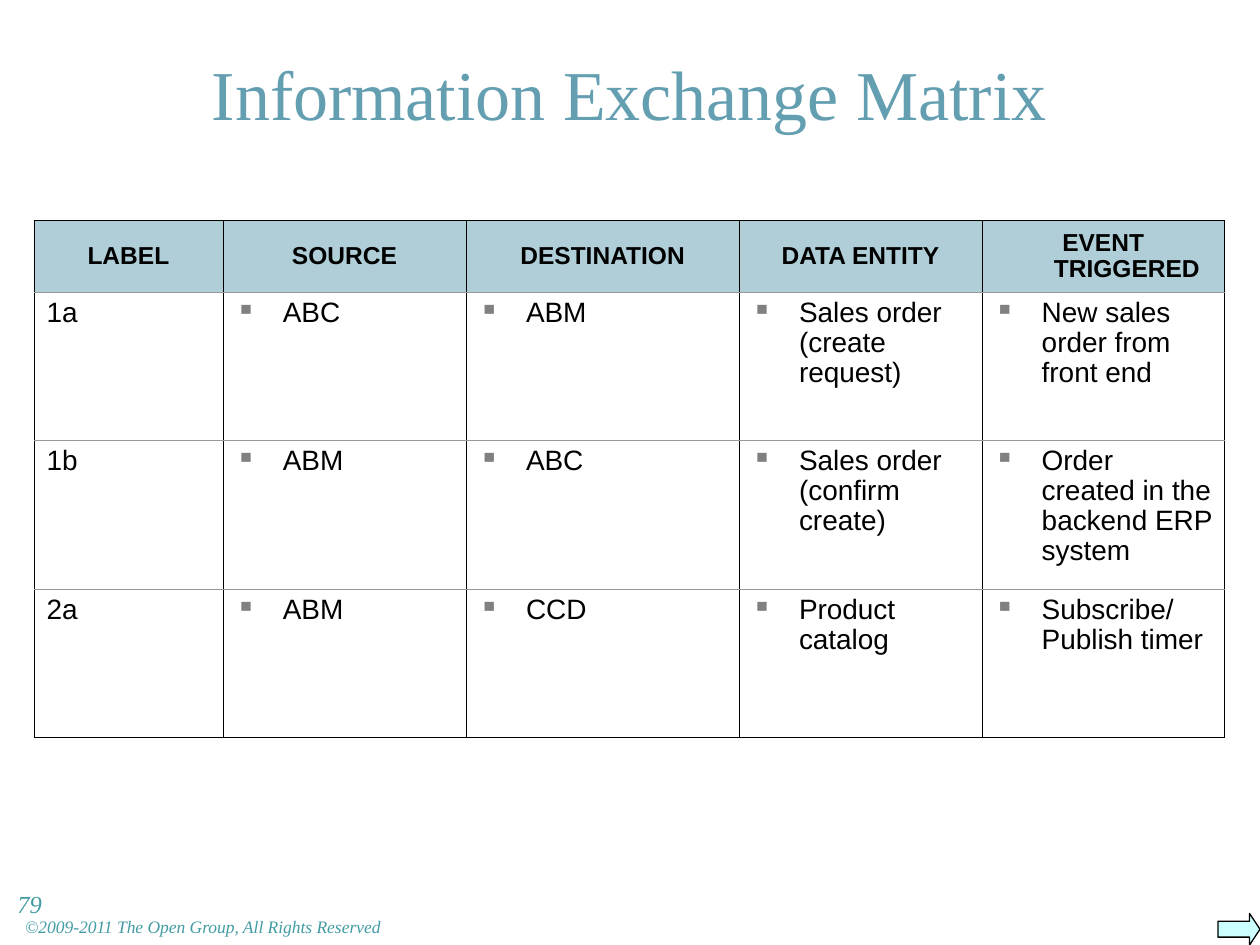
from dataclasses import dataclass
from typing import NamedTuple

from lxml.etree import SubElement as Sub
from pptx import Presentation
from pptx.dml.color import RGBColor as Rgb
from pptx.enum.shapes import MSO_SHAPE as Shape
from pptx.enum.text import MSO_ANCHOR as Anchor, PP_ALIGN as Align
from pptx.oxml.ns import qn
from pptx.util import Pt


@dataclass(frozen=True)
class Theme:
    serif: str = "Times New Roman"
    sans: str = "Arial"
    teal: str = "639EB1"
    note: str = "439CA3"
    black: str = "000000"
    grey: str = "999999"
    mark: str = "808080"
    aqua: str = "CCFFFF"
    big: float = 40
    body: float = 16
    head: float = 14
    small: float = 10
    rule: float = 0.45
    hang: float = 27
    lead: float = 0.96


class Box(NamedTuple):
    left: float
    top: float
    width: float
    height: float

    def pts(self) -> list:
        return [Pt(side) for side in self]


class Note(NamedTuple):
    text: str
    box: Box
    size: float
    inset: float


THEME = Theme()
TITLE = Box(19.4, -0.7, 680.4, 106.6)
GRID = Box(19.4, 126, 680.4, 295.4)
COLS = [108, 139, 156, 138.7, 138.7]
ROWS = [41, 84.8, 84.8, 84.8]
ARROW = Box(696, 522, 24, 18)
HEADS = ["LABEL", "SOURCE", "DESTINATION", "DATA ENTITY", "EVENT TRIGGERED"]
FLOWS = [
    ["1a", "ABC", "ABM", "Sales order (create request)",
     "New sales order from front end"],
    ["1b", "ABM", "ABC", "Sales order (confirm create)",
     "Order created in the backend ERP system"],
    ["2a", "ABM", "CCD", "Product catalog", "Subscribe/\nPublish timer"],
]
NOTES = [
    Note("©2009-2011 The Open Group, All Rights Reserved",
         Box(14.4, 519.8, 527, 17.3), THEME.small, 0),
    Note("79", Box(2.9, 504.7, 85, 37.4), THEME.head, 7.2),
]


def write(frame, text: str, *, size: float, face: str = THEME.sans,
          color: str = THEME.black, bold: bool = False, ital: bool = False,
          align=Align.LEFT, hang: float = 0, mark: bool = False,
          lead: float = 1) -> None:
    """Fill a text frame, one paragraph a line; a mark goes on the first."""
    for i, line in enumerate(text.split("\n")):
        para = frame.add_paragraph() if i else frame.paragraphs[0]
        para.alignment, para.line_spacing = align, lead
        if hang:
            props = para._p.get_or_add_pPr()
            props.set("marL", str(Pt(hang)))
            props.set("indent", str(0 if i else -Pt(hang)))
            if mark and not i:
                tint = Sub(props, qn("a:buClr"))
                Sub(tint, qn("a:srgbClr"), val=THEME.mark)
                Sub(props, qn("a:buChar"), char="▪")
            else:
                Sub(props, qn("a:buNone"))
        run = para.add_run()
        run.text = line
        font = run.font
        font.name, font.size = face, Pt(size)
        font.bold, font.italic = bold, ital
        font.color.rgb = Rgb.from_string(color)


def edge(cell, top: str, base: str) -> None:
    """Rule a cell: black sides, with given top and base colours."""
    props = cell._tc.get_or_add_tcPr()
    sides = {"L": THEME.black, "R": THEME.black, "T": top, "B": base}
    for side, color in sides.items():
        line = Sub(props, qn(f"a:ln{side}"), w=str(Pt(THEME.rule)))
        Sub(Sub(line, qn("a:solidFill")), qn("a:srgbClr"), val=color)


def shade(cell) -> None:
    """Give a cell the half-clear head colour."""
    cell.fill.solid()
    cell.fill.fore_color.rgb = Rgb.from_string(THEME.teal)
    tint = cell._tc.tcPr.find(qn("a:solidFill")).find(qn("a:srgbClr"))
    Sub(tint, qn("a:alpha"), val="50000")


def add_title(slide) -> None:
    title = slide.shapes.title
    title.left, title.top, title.width, title.height = TITLE.pts()
    title.text_frame.vertical_anchor = Anchor.MIDDLE
    write(title.text_frame, "Information Exchange Matrix", size=THEME.big,
          face=THEME.serif, color=THEME.teal, align=Align.CENTER)


def add_grid(slide) -> None:
    data = [HEADS, *FLOWS]
    table = slide.shapes.add_table(len(ROWS), len(COLS), *GRID.pts()).table
    table.first_row = table.horz_banding = False
    for col, width in zip(table.columns, COLS):
        col.width = Pt(width)
    for r, (row, high) in enumerate(zip(table.rows, ROWS)):
        row.height = Pt(high)
        for c, (cell, text) in enumerate(zip(row.cells, data[r])):
            edge(cell, THEME.grey if r else THEME.black,
                 THEME.grey if r < len(FLOWS) else THEME.black)
            if r:
                cell.fill.background()
                write(cell.text_frame, text, size=THEME.body,
                      hang=THEME.hang, mark=c > 0, lead=THEME.lead)
            else:
                shade(cell)
                cell.vertical_anchor = Anchor.MIDDLE
                write(cell.text_frame, text, size=THEME.head, bold=True,
                      align=Align.CENTER, hang=THEME.hang, lead=THEME.lead)


def add_arrow(slide) -> None:
    arrow = slide.shapes.add_shape(Shape.RIGHT_ARROW, *ARROW.pts())
    arrow.shadow.inherit = False
    arrow.adjustments[0], arrow.adjustments[1] = 0.5, 0.33
    arrow.fill.solid()
    arrow.fill.fore_color.rgb = Rgb.from_string(THEME.aqua)
    arrow.line.color.rgb = Rgb.from_string(THEME.black)
    arrow.line.width = Pt(0.75)


def add_note(slide, note: Note) -> None:
    frame = slide.shapes.add_textbox(*note.box.pts()).text_frame
    frame.word_wrap = True
    frame.margin_left = Pt(note.inset)
    write(frame, note.text, size=note.size, face=THEME.serif,
          color=THEME.note, ital=True)


def main() -> None:
    deck = Presentation()
    deck.slide_width, deck.slide_height = Pt(720), Pt(540)
    slide = deck.slides.add_slide(deck.slide_layouts[5])
    add_title(slide)
    add_grid(slide)
    add_arrow(slide)
    for note in NOTES:
        add_note(slide, note)
    deck.save("out.pptx")


if __name__ == "__main__":
    main()
